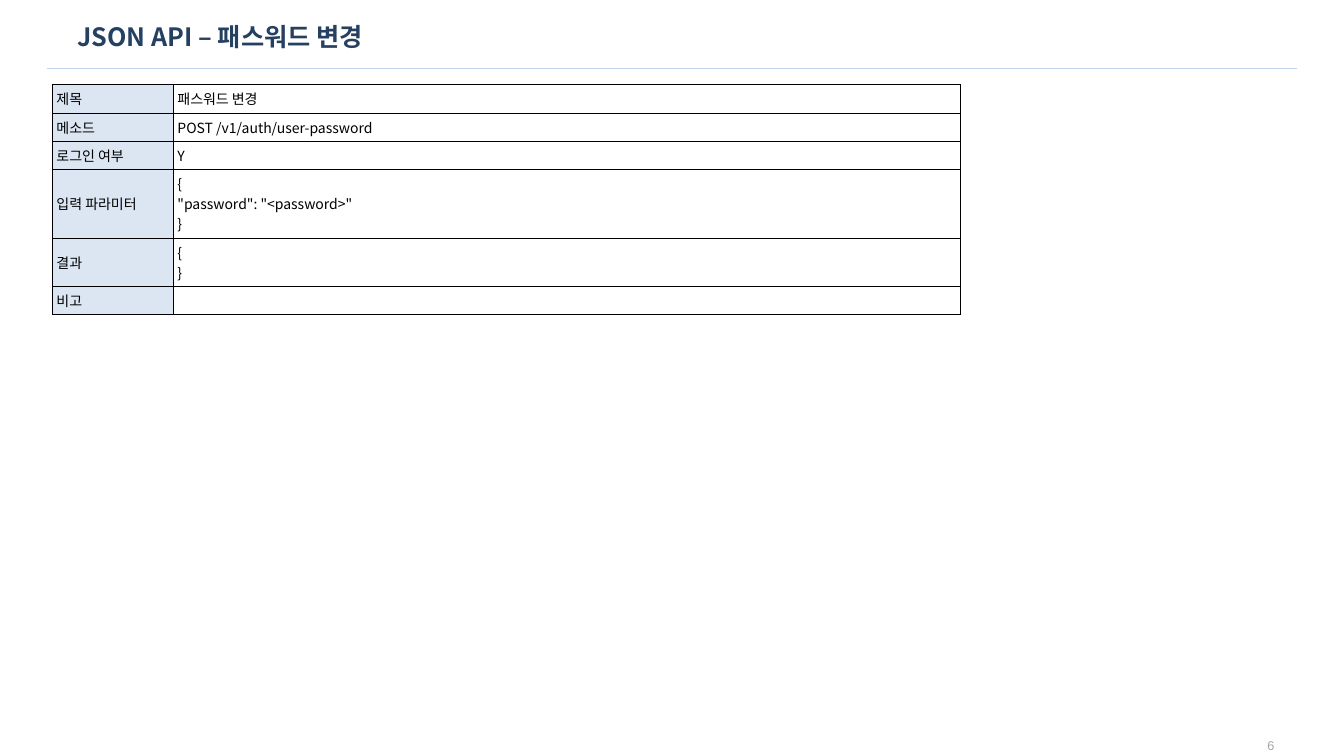
from dataclasses import dataclass

from lxml import etree
from pptx import Presentation
from pptx.dml.color import RGBColor
from pptx.enum.shapes import MSO_CONNECTOR
from pptx.enum.text import MSO_ANCHOR, PP_ALIGN
from pptx.oxml.ns import qn
from pptx.util import Pt

STRAIGHT = MSO_CONNECTOR.STRAIGHT
MIDDLE = MSO_ANCHOR.MIDDLE
LEFT, CENTER = PP_ALIGN.LEFT, PP_ALIGN.CENTER
EMU_PER_PX = 9144


@dataclass(frozen=True)
class Theme:
    body_font: str = "Noto Sans CJK KR"
    number_font: str = "Arial"
    title_color: str = "254061"
    text_color: str = "000000"
    number_color: str = "A6A6A6"
    rule_color: str = "C2D1ED"
    border_color: str = "000000"
    label_fill: str = "DCE6F2"
    title_size: int = 18
    body_size: int = 10
    number_size: int = 9
    rule_width: float = 1
    border_width: float = 0.5


THEME = Theme()

API_ROWS = [
    ("제목", ["패스워드 변경"]),
    ("메소드", ["POST /v1/auth/user-password"]),
    ("로그인 여부", ["Y"]),
    ("입력 파라미터", ["{", '"password": "<password>"', "}"]),
    ("결과", ["{", "}"]),
    ("비고", [""]),
]


def px(length):
    return length * EMU_PER_PX


def write_text(frame, lines, *, size=THEME.body_size, font=THEME.body_font,
               color=THEME.text_color, bold=False, align=LEFT):
    frame.word_wrap = True
    for index, line in enumerate(lines):
        paragraph = frame.paragraphs[0] if index == 0 else frame.add_paragraph()
        paragraph.alignment = align
        if not line:
            etree.SubElement(paragraph._p, qn("a:endParaRPr"), sz=str(size * 100))
            continue
        run = paragraph.add_run()
        run.text = line
        run.font.size = Pt(size)
        run.font.name = font
        run.font.bold = bold
        run.font.color.rgb = RGBColor.from_string(color)
        properties = run._r.get_or_add_rPr()
        etree.SubElement(properties, qn("a:ea"), typeface=font)


def add_text_box(slide, box, text, **text_format):
    shape = slide.shapes.add_textbox(*map(px, box))
    frame = shape.text_frame
    frame.margin_top = frame.margin_bottom = 0
    frame.vertical_anchor = MIDDLE
    write_text(frame, [text], **text_format)


def add_header(slide, box, title):
    left, top, width, height = box
    rule = slide.shapes.add_connector(
        STRAIGHT, px(left), px(top + height), px(left + width), px(top + height))
    rule.line.color.rgb = RGBColor.from_string(THEME.rule_color)
    rule.line.width = Pt(THEME.rule_width)
    etree.SubElement(rule._element.spPr, qn("a:effectLst"))
    add_text_box(slide, (left + 20, top, width - 39, height), title,
                 size=THEME.title_size, color=THEME.title_color, bold=True)


def add_borders(cell):
    properties = cell._tc.get_or_add_tcPr()
    for index, side in enumerate(("lnL", "lnR", "lnT", "lnB")):
        line = etree.Element(qn(f"a:{side}"), w=str(Pt(THEME.border_width)))
        fill = etree.SubElement(line, qn("a:solidFill"))
        etree.SubElement(fill, qn("a:srgbClr"), val=THEME.border_color)
        properties.insert(index, line)


def format_cell(cell, lines, fill_color=None):
    cell.margin_left = cell.margin_right = px(4)
    cell.margin_top = cell.margin_bottom = px(4)
    cell.vertical_anchor = MIDDLE
    if fill_color:
        cell.fill.solid()
        cell.fill.fore_color.rgb = RGBColor.from_string(fill_color)
    else:
        cell.fill.background()
    add_borders(cell)
    write_text(cell.text_frame, lines)


def add_api_table(slide, box, rows, label_width=120, line_height=20, padding=8):
    left, top, width = box
    heights = [padding + line_height * len(lines) for _, lines in rows]
    table = slide.shapes.add_table(
        len(rows), 2, px(left), px(top), px(width), px(sum(heights))).table
    table.first_row = False
    table.horz_banding = False
    table.columns[0].width = px(label_width)
    table.columns[1].width = px(width - label_width)
    for index, (label, lines) in enumerate(rows):
        table.rows[index].height = px(heights[index])
        format_cell(table.cell(index, 0), [label], THEME.label_fill)
        format_cell(table.cell(index, 1), lines)


def add_page_number(slide, box, number):
    add_text_box(slide, box, number, size=THEME.number_size,
                 font=THEME.number_font, color=THEME.number_color, align=CENTER)


def main():
    presentation = Presentation()
    presentation.slide_width = px(1333)
    presentation.slide_height = px(750)
    slide = presentation.slides.add_slide(presentation.slide_layouts[6])
    add_header(slide, (47, 5, 1239, 63), "JSON API – 패스워드 변경")
    add_page_number(slide, (1223, 729, 75, 21), "6")
    add_api_table(slide, (52, 84, 900), API_ROWS)
    presentation.save("out.pptx")


if __name__ == "__main__":
    main()
